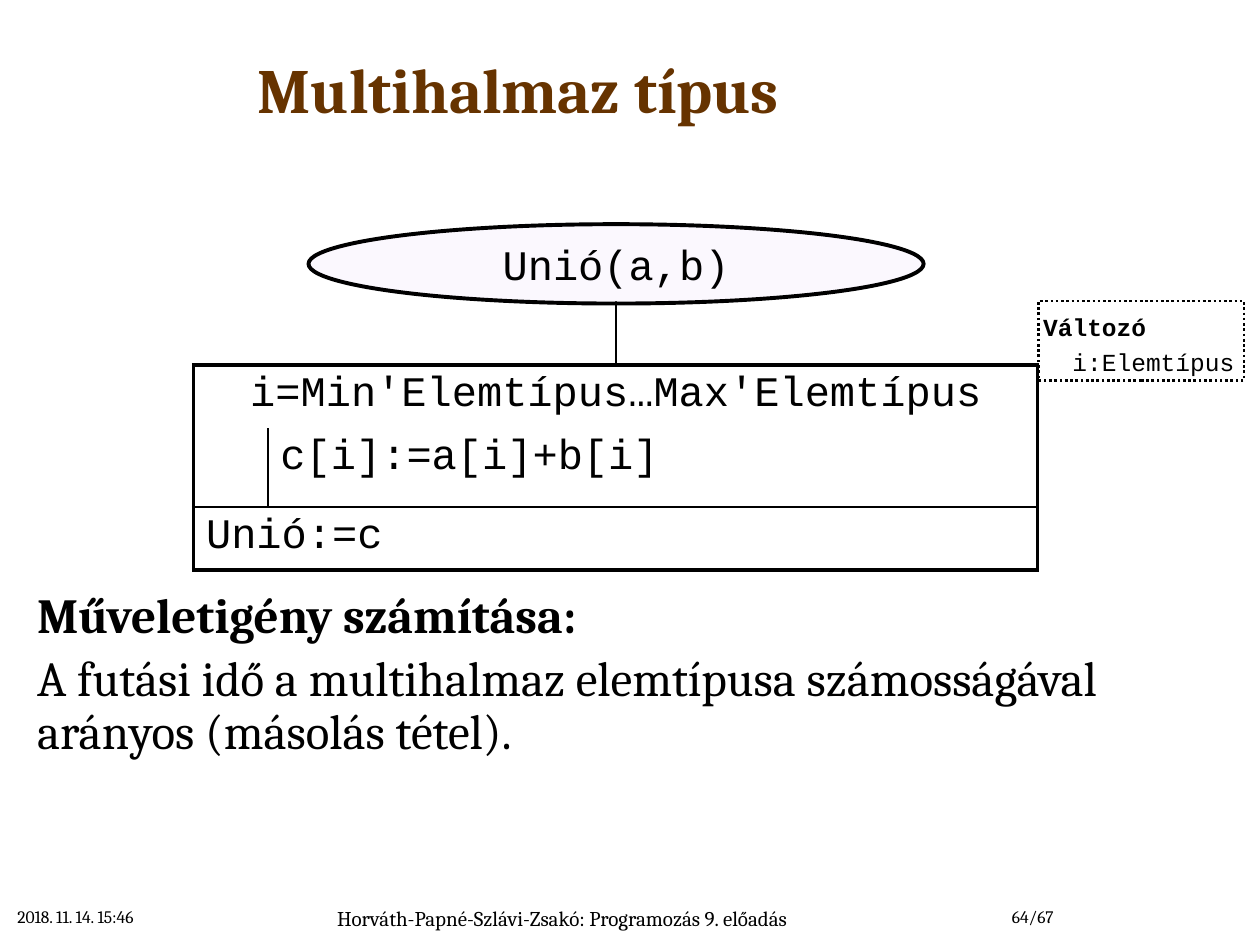
from dataclasses import dataclass, field
from typing import Any

from lxml import etree
from pptx import Presentation
from pptx.dml.color import RGBColor
from pptx.enum.dml import MSO_LINE
from pptx.enum.shapes import MSO_SHAPE
from pptx.enum.text import MSO_ANCHOR, PP_ALIGN
from pptx.oxml.ns import qn
from pptx.util import Cm, Pt

LEFT, MID, RIGHT = PP_ALIGN.LEFT, PP_ALIGN.CENTER, PP_ALIGN.RIGHT
TOP, CORE = MSO_ANCHOR.TOP, MSO_ANCHOR.MIDDLE
OVAL, RECT = MSO_SHAPE.OVAL, MSO_SHAPE.RECTANGLE
DOTS = MSO_LINE.ROUND_DOT


@dataclass(frozen=True)
class Theme:
    """Fonts, colours, type sizes and line widths."""
    serif: str = "Cambria"
    mono: str = "Courier New"
    ink: str = "000000"
    brown: str = "663300"
    lilac: str = "F3E8FE"
    title: int = 36
    body: int = 28
    code: int = 24
    note: int = 14
    foot: int = 12
    small: int = 10
    thin: float = 1
    thick: float = 2.25


T = Theme()


@dataclass(frozen=True)
class Para:
    """One paragraph with a single run."""
    text: str
    size: int
    font: str = T.serif
    color: str = T.ink
    bold: bool = False
    align: PP_ALIGN = LEFT
    before: float = 0
    line: float = 0
    indent: float = 0


@dataclass(frozen=True)
class Box:
    """A text box, in centimetres."""
    x: float
    y: float
    w: float
    h: float
    paras: tuple[Para, ...]
    anchor: MSO_ANCHOR = TOP


@dataclass(frozen=True)
class Field:
    """A table cell with its span and its edge widths."""
    row: int
    col: int
    span: int
    edges: dict[str, float] = field(default_factory=dict)
    para: Para | None = None


def write(frame: Any, paras: tuple[Para, ...]) -> None:
    """Fill a text frame, run by run."""
    for i, p in enumerate(paras):
        par = frame.paragraphs[0] if i == 0 else frame.add_paragraph()
        par.alignment = p.align
        par.space_before = Pt(p.before)
        if p.line:
            par.line_spacing = Pt(p.line)
        if p.indent:
            par._p.get_or_add_pPr().set("marL", str(Cm(p.indent)))
        run = par.add_run()
        run.text = p.text
        font = run.font
        font.name, font.size, font.bold = p.font, Pt(p.size), p.bold
        font.color.rgb = RGBColor.from_string(p.color)


def add_box(slide: Any, box: Box) -> None:
    """Place a text box."""
    shape = slide.shapes.add_textbox(Cm(box.x), Cm(box.y), Cm(box.w), Cm(box.h))
    frame = shape.text_frame
    frame.word_wrap = True
    frame.vertical_anchor = box.anchor
    write(frame, box.paras)


def add_form(slide: Any, kind: MSO_SHAPE, box: Box, width: float) -> Any:
    """Place an outlined shape with text and no fill."""
    form = slide.shapes.add_shape(kind, Cm(box.x), Cm(box.y), Cm(box.w), Cm(box.h))
    form.shadow.inherit = False
    form.fill.background()
    form.line.color.rgb = RGBColor.from_string(T.ink)
    form.line.width = Pt(width)
    form.text_frame.vertical_anchor = box.anchor
    write(form.text_frame, box.paras)
    return form


def add_edges(cell: Any, edges: dict[str, float]) -> None:
    """Draw the named edges of a cell and clear the others."""
    props = cell._tc.get_or_add_tcPr()
    for i, side in enumerate("LRTB"):
        edge = etree.Element(qn(f"a:ln{side}"))
        if side in edges:
            edge.set("w", str(Pt(edges[side])))
            fill = etree.SubElement(edge, qn("a:solidFill"))
            etree.SubElement(fill, qn("a:srgbClr"), val=T.ink)
        else:
            etree.SubElement(edge, qn("a:noFill"))
        props.insert(i, edge)


def add_grid(slide: Any, x: float, y: float, cols: list[float],
             rows: list[float], cells: list[Field]) -> None:
    """Build the structure chart as a table."""
    grid = slide.shapes.add_table(len(rows), len(cols), Cm(x), Cm(y),
                                  Cm(sum(cols)), Cm(sum(rows))).table
    grid.first_row = grid.horz_banding = False
    for col, wide in zip(grid.columns, cols):
        col.width = Cm(wide)
    for row, high in zip(grid.rows, rows):
        row.height = Cm(high)
    for c in cells:
        head = grid.cell(c.row, c.col)
        for k in range(c.span):
            cell = grid.cell(c.row, c.col + k)
            cell.fill.background()
            add_edges(cell, {s: w for s, w in c.edges.items() if k == 0 or s != "L"})
        if c.span > 1:
            head.merge(grid.cell(c.row, c.col + c.span - 1))
        if c.para:
            write(head.text_frame, (c.para,))


def code(text: str, align: PP_ALIGN = LEFT, before: float = 1.5) -> Para:
    """Make a line of code."""
    return Para(text, T.code, T.mono, align=align, before=before)


deck = Presentation()
deck.slide_width, deck.slide_height = Cm(25.4), Cm(19.05)
slide = deck.slides.add_slide(deck.slide_layouts[6])

BOXES = [
    Box(0, 0.23, 20.9, 3.1, (
        Para("Multihalmaz típus", T.title, color=T.brown, bold=True, align=MID),), CORE),
    Box(0.5, 11.66, 24.9, 4.14, (
        Para("Műveletigény számítása:", T.body, bold=True),
        Para("A futási idő a multihalmaz elemtípusa számosságával arányos "
             "(másolás tétel).", T.body, before=6, line=30))),
    Box(0.1, 18.14, 5.28, 1, (Para("2018. 11. 14. 15:46", T.small),)),
    Box(5.38, 18.14, 11.91, 0.9, (
        Para("Horváth-Papné-Szlávi-Zsakó: Programozás 9. előadás", T.foot, align=MID),)),
    Box(18.26, 18.14, 3.23, 1, (Para("64/67", T.small, align=RIGHT),)),
]
for box in BOXES:
    add_box(slide, box)

thin, thick = T.thin, T.thick
add_grid(slide, 3.9, 6.07, [1.5, 7.02, 8.5], [1.29, 1.27, 1.59, 1.27], [
    Field(0, 0, 2, {"R": thin, "B": thick}),
    Field(0, 2, 1, {"L": thin, "B": thick}),
    Field(1, 0, 3, {"L": thick, "T": thick, "R": thick},
          code("i=Min'Elemtípus…Max'Elemtípus", MID)),
    Field(2, 0, 1, {"L": thick, "R": thin, "B": thin}),
    Field(2, 1, 2, {"L": thin, "T": thin, "R": thick, "B": thin},
          code("c[i]:=a[i]+b[i]")),
    Field(3, 0, 3, {"L": thick, "T": thin, "R": thick, "B": thick}, code("Unió:=c")),
])

oval = add_form(slide, OVAL, Box(6.22, 4.52, 12.4, 1.6, (
    code("Unió(a,b)", MID, 3),), CORE), thick)
oval.text_frame.word_wrap = False
oval.fill.solid()
oval.fill.fore_color.rgb = RGBColor.from_string(T.lilac)
tint = oval._element.spPr.find(qn("a:solidFill")).find(qn("a:srgbClr"))
etree.SubElement(tint, qn("a:alpha"), val="30000")

note = add_form(slide, RECT, Box(20.93, 6.07, 4.15, 1.6, (
    Para("Változó", T.note, T.mono, bold=True, line=20),
    Para("i:Elemtípus", T.note, T.mono, line=20, indent=0.59))), 1.5)
note.line.dash_style = DOTS
frame = note.text_frame
frame.margin_left = frame.margin_top = frame.margin_bottom = Cm(0.1)
frame.margin_right = 0

deck.save("out.pptx")
